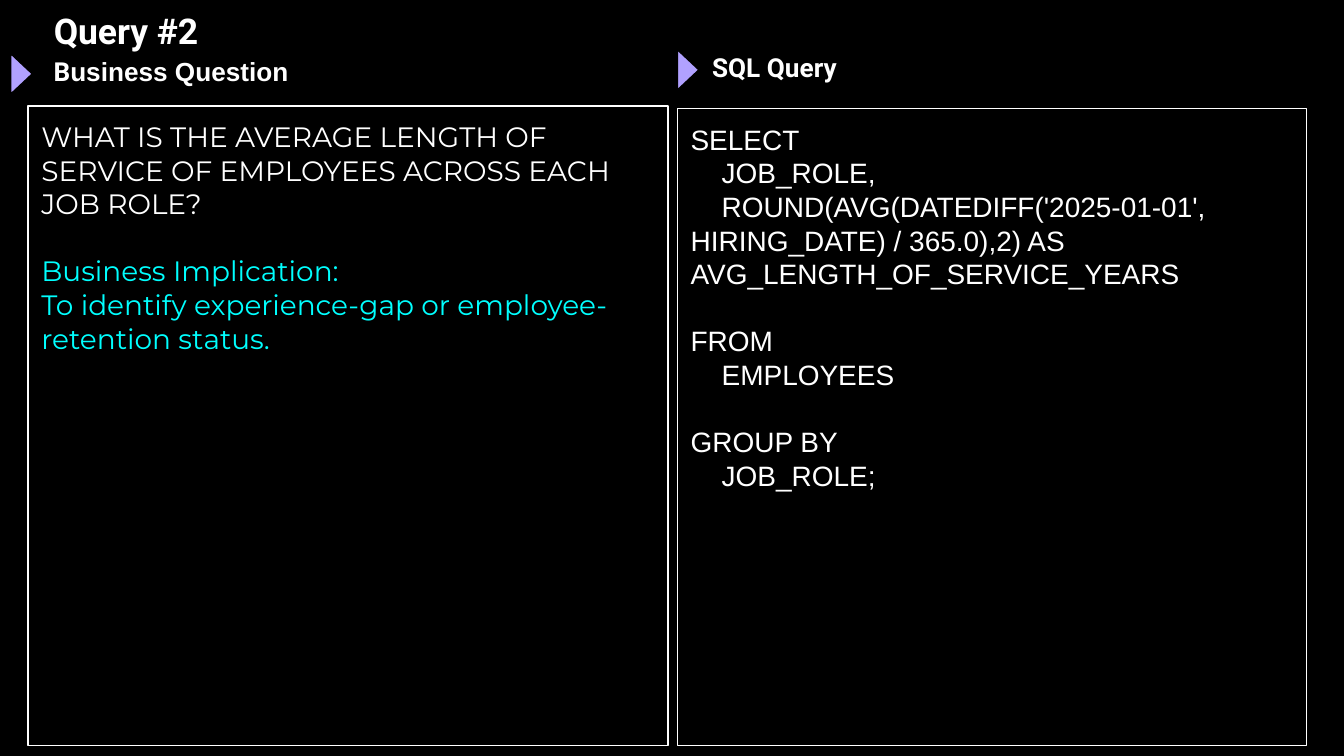
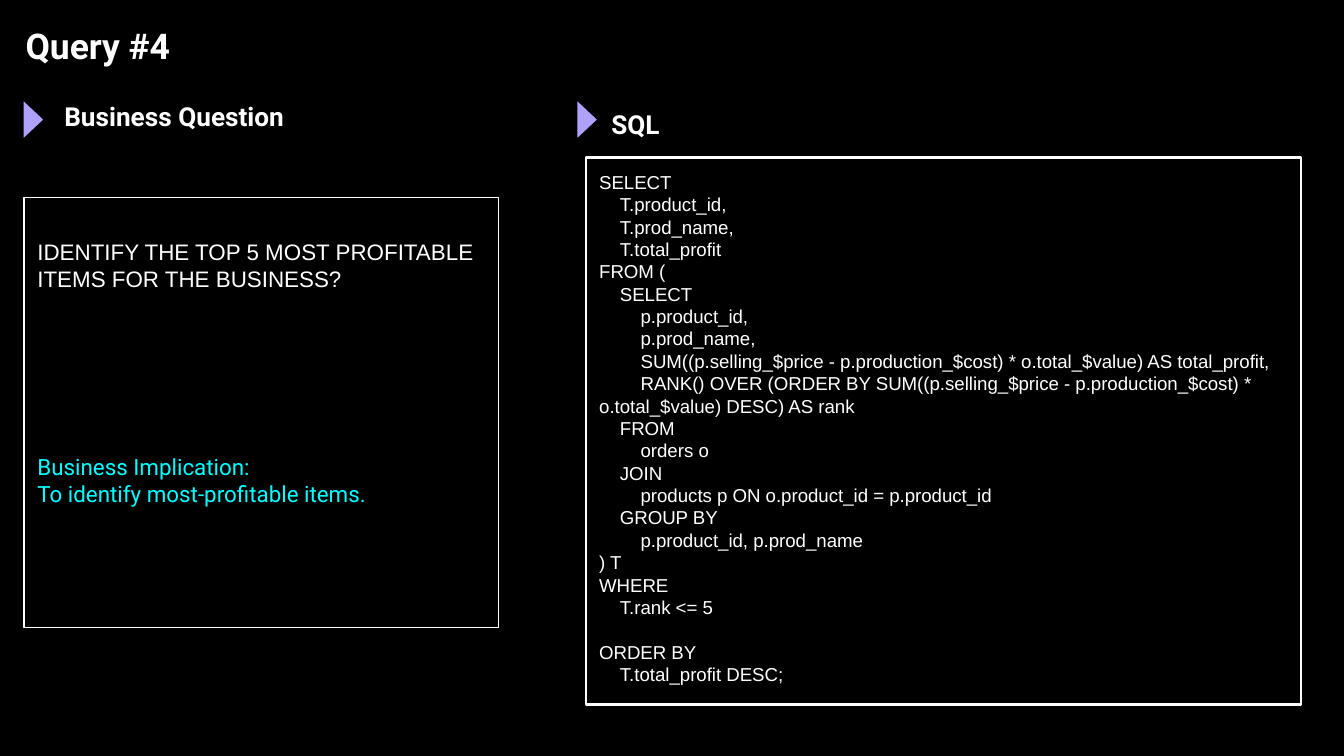
import dataclasses

import pptx
import pptx.dml.color
import pptx.enum.shapes
import pptx.enum.text
import pptx.util

BLACK = pptx.dml.color.RGBColor(0x00, 0x00, 0x00)
WHITE = pptx.dml.color.RGBColor(0xFF, 0xFF, 0xFF)
CYAN = pptx.dml.color.RGBColor(0x00, 0xFF, 0xFF)
LILAC = pptx.dml.color.RGBColor(0xB1, 0xA1, 0xFF)
SLIDE_WIDTH = pptx.util.Inches(10)
SLIDE_HEIGHT = SLIDE_WIDTH * 9 // 16
CELL = SLIDE_WIDTH // 100
INSET = pptx.util.Inches(0.1)
TITLE_SIZE = 19
HEADING_SIZE = 14
LEADING = 1.2
INDENT_PER_LEVEL = 1.11
TITLE_ONLY_LAYOUT = 5


@dataclasses.dataclass
class Box:
    column: float
    row: float
    columns: float
    rows: float

    def inside(self, column, row, columns, rows):
        return Box(self.column + column, self.row + row, columns, rows)

    def lengths(self):
        return [round(cells * CELL) for cells in (self.column, self.row, self.columns, self.rows)]


@dataclasses.dataclass
class Line:
    text: str
    level: int = 0
    gap: int = 0
    color: pptx.dml.color.RGBColor = WHITE
    font: str = "Arial"


@dataclasses.dataclass
class Panel:
    box: Box
    heading: tuple
    heading_offset: tuple
    marker_offset: tuple
    lines: list
    size: int
    border: float = 0.75
    blank_lines_above: int = 0


def prepare_frame(shape):
    frame = shape.text_frame
    frame.word_wrap = True
    frame.auto_size = pptx.enum.text.MSO_AUTO_SIZE.NONE
    frame.vertical_anchor = pptx.enum.text.MSO_ANCHOR.TOP
    frame.margin_left = frame.margin_right = INSET
    frame.margin_top = frame.margin_bottom = INSET
    return frame


def format_paragraph(paragraph, size, color, font=None, bold=False):
    paragraph.alignment = pptx.enum.text.PP_ALIGN.LEFT
    paragraph.line_spacing = pptx.util.Pt(LEADING * size)
    paragraph.font.size = pptx.util.Pt(size)
    paragraph.font.color.rgb = color
    paragraph.font.bold = bold
    if font:
        paragraph.font.name = font


def add_title(slide, box, text):
    title = slide.shapes.title
    title.left, title.top, title.width, title.height = box.lengths()
    paragraph = prepare_frame(title).paragraphs[0]
    paragraph.text = text
    format_paragraph(paragraph, TITLE_SIZE, WHITE, "Roboto", bold=True)


def add_heading(slide, box, runs):
    paragraph = prepare_frame(slide.shapes.add_textbox(*box.lengths())).paragraphs[0]
    for text, font in runs:
        run = paragraph.add_run()
        run.text = text
        run.font.name = font
    format_paragraph(paragraph, HEADING_SIZE, WHITE, bold=True)


def add_marker(slide, box):
    marker = slide.shapes.add_shape(
        pptx.enum.shapes.MSO_SHAPE.ISOSCELES_TRIANGLE, *box.lengths())
    marker.rotation = 90
    marker.shadow.inherit = False
    marker.fill.solid()
    marker.fill.fore_color.rgb = LILAC
    marker.line.color.rgb = BLACK
    marker.line.width = pptx.util.Pt(0.75)


def add_lines(frame, lines, size):
    for number, line in enumerate(lines):
        paragraph = frame.add_paragraph() if number else frame.paragraphs[0]
        paragraph.text = line.text
        format_paragraph(paragraph, size, line.color, line.font)
        paragraph.space_before = pptx.util.Pt(line.gap * LEADING * size)
        if line.level:
            indent = pptx.util.Pt(line.level * INDENT_PER_LEVEL * size)
            properties = paragraph._p.get_or_add_pPr()
            properties.set("marL", "0")
            properties.set("indent", str(indent))


def add_panel(slide, panel):
    add_heading(slide, panel.box.inside(*panel.heading_offset, 22.9, 4.8), panel.heading)
    add_marker(slide, panel.box.inside(*panel.marker_offset, 3, 1.6))
    frame_shape = slide.shapes.add_shape(
        pptx.enum.shapes.MSO_SHAPE.RECTANGLE, *panel.box.lengths())
    frame_shape.shadow.inherit = False
    frame_shape.fill.background()
    frame_shape.line.color.rgb = WHITE
    frame_shape.line.width = pptx.util.Pt(panel.border)
    frame = prepare_frame(frame_shape)
    frame.margin_top = INSET + pptx.util.Pt(panel.blank_lines_above * LEADING * panel.size)
    add_lines(frame, panel.lines, panel.size)


def add_query_slide(presentation, title, title_box, panels):
    slide = presentation.slides.add_slide(presentation.slide_layouts[TITLE_ONLY_LAYOUT])
    slide.background.fill.solid()
    slide.background.fill.fore_color.rgb = BLACK
    add_title(slide, title_box, title)
    for panel in panels:
        add_panel(slide, panel)


SERVICE_QUESTION = Panel(
    Box(2.1, 7.9, 47.6, 47.6),
    (("B", "Roboto"), ("usiness Question", "Arial")), (0.9, -4.8), (-2, -3.2),
    [
        Line("WHAT IS THE AVERAGE LENGTH OF SERVICE OF EMPLOYEES ACROSS EACH JOB ROLE?",
             font="Montserrat"),
        Line("Business Implication:", gap=1, color=CYAN, font="Montserrat"),
        Line("To identify experience-gap or employee-retention status.",
             color=CYAN, font="Montserrat"),
    ], 15)

SERVICE_SQL = Panel(
    Box(50.4, 8.1, 46.8, 47.4),
    (("SQL Query", "Roboto"),), (1.6, -5.3), (-0.7, -3.7),
    [
        Line("SELECT"),
        Line("JOB_ROLE,", 1),
        Line("ROUND(AVG(DATEDIFF('2025-01-01', HIRING_DATE) / 365.0),2) "
             "AS AVG_LENGTH_OF_SERVICE_YEARS", 1),
        Line("FROM", gap=1),
        Line("EMPLOYEES", 1),
        Line("GROUP BY", gap=1),
        Line("JOB_ROLE;", 1),
    ], 15)

PROFIT_QUESTION = Panel(
    Box(1.8, 14.7, 35.3, 32),
    (("Business Question", "Roboto"),), (2, -8.2), (-0.8, -6.6),
    [
        Line("IDENTIFY THE TOP 5 MOST PROFITABLE ITEMS FOR THE BUSINESS?"),
        Line("Business Implication:", gap=6, color=CYAN, font="Roboto"),
        Line("To identify most-profitable items.", color=CYAN, font="Roboto"),
    ], 12, blank_lines_above=1)

PROFIT_SQL = Panel(
    Box(43.6, 11.7, 53.2, 40.7),
    (("SQL", "Roboto"),), (0.9, -4.6), (-1.4, -3.6),
    [
        Line("SELECT"),
        Line("T.product_id,", 1),
        Line("T.prod_name,", 1),
        Line("T.total_profit", 1),
        Line("FROM ("),
        Line("SELECT", 1),
        Line("p.product_id,", 2),
        Line("p.prod_name,", 2),
        Line("SUM((p.selling_$price - p.production_$cost) * o.total_$value) AS total_profit,", 2),
        Line("RANK() OVER (ORDER BY SUM((p.selling_$price - p.production_$cost) * "
             "o.total_$value) DESC) AS rank", 2),
        Line("FROM", 1),
        Line("orders o", 2),
        Line("JOIN", 1),
        Line("products p ON o.product_id = p.product_id", 2),
        Line("GROUP BY", 1),
        Line("p.product_id, p.prod_name", 2),
        Line(") T"),
        Line("WHERE"),
        Line("T.rank <= 5", 1),
        Line("ORDER BY", gap=1),
        Line("T.total_profit DESC;", 1),
    ], 10, border=1.5)


def main():
    presentation = pptx.Presentation()
    presentation.slide_width = SLIDE_WIDTH
    presentation.slide_height = SLIDE_HEIGHT
    add_query_slide(presentation, "Query #2", Box(3, -0.3, 83, 5.4),
                    [SERVICE_QUESTION, SERVICE_SQL])
    add_query_slide(presentation, "Query #4", Box(0.9, 0.8, 32.4, 5.4),
                    [PROFIT_QUESTION, PROFIT_SQL])
    presentation.save("out.pptx")


if __name__ == "__main__":
    main()
